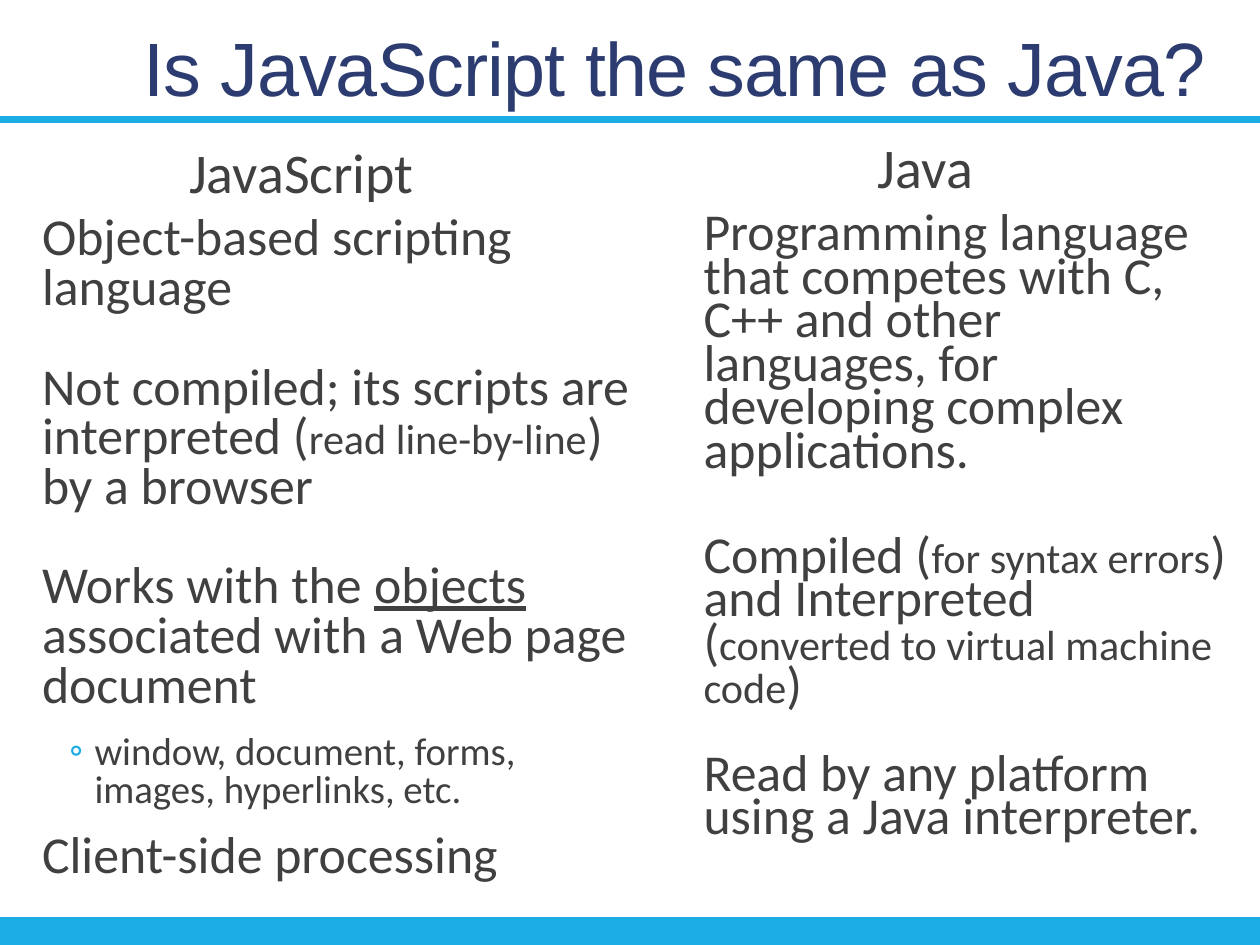
from typing import NamedTuple

from lxml.etree import SubElement
from pptx import Presentation
from pptx.dml.color import RGBColor
from pptx.enum.shapes import MSO_CONNECTOR
from pptx.enum.text import MSO_ANCHOR, MSO_AUTO_SIZE, PP_ALIGN
from pptx.oxml.ns import qn
from pptx.util import Emu, Inches, Pt

COLUMNS, ROWS = 120, 90
CELL = Inches(10) // COLUMNS
NAVY, CYAN, GREY = "2C3C70", "1CADE4", "404040"
BODY, ASIDE, DETAIL, HEADING = 29.6, 24.1, 22.2, 32


class Area(NamedTuple):
    """A place on the grid, in columns and rows."""
    left: float
    top: float
    width: float
    height: float


class Run(NamedTuple):
    text: str
    size: float = BODY
    underline: bool = False


class Point(NamedTuple):
    runs: list[Run]
    gap: float = 0
    bullet: str = ""


class Topic(NamedTuple):
    heading: str
    heading_area: Area
    body_area: Area
    line_spacing: float
    points: list[Point]


class Rule(NamedTuple):
    row: float
    weight: float


TOPICS = [
    Topic("JavaScript", Area(18, 13.2, 22, 7.2), Area(4, 20, 56, 67), 0.8, [
        Point([Run("Object-based scripting language")]),
        Point([Run("Not compiled; its scripts are interpreted ("),
               Run("read line-by-line", ASIDE), Run(") by a browser")], gap=28.4),
        Point([Run("Works with the "), Run("objects", underline=True),
               Run(" associated with a Web page document")], gap=28.4),
        Point([Run("window, document, forms, images, hyperlinks, etc.", DETAIL)],
              gap=13, bullet="◦"),
        Point([Run("Client-side processing")], gap=13),
    ]),
    Topic("Java", Area(83.6, 12.8, 14, 7.2), Area(67, 20, 50, 65), 0.7, [
        Point([Run("Programming language that competes with C, C++ and other "
                   "languages, for developing complex applications.")]),
        Point([Run("Compiled ("), Run("for syntax errors", ASIDE),
               Run(") and Interpreted ("),
               Run("converted to virtual machine code", ASIDE), Run(")")], gap=35),
        Point([Run("Read by any platform using a Java interpreter.")], gap=25),
    ]),
]
RULES = [Rule(11.4, 4), Rule(89, 20)]


def cells(count: float) -> Emu:
    return Emu(round(count * CELL))


def rgb(value: str) -> RGBColor:
    return RGBColor.from_string(value)


def place(shape, area: Area) -> None:
    shape.left, shape.top, shape.width, shape.height = map(cells, area)


def add_bullet(paragraph, mark: str) -> None:
    properties = paragraph._p.get_or_add_pPr()
    properties.set("marL", str(cells(5)))
    properties.set("indent", str(-cells(2.4)))
    color = SubElement(properties, qn("a:buClr"))
    SubElement(color, qn("a:srgbClr")).set("val", CYAN)
    SubElement(properties, qn("a:buFont")).set("typeface", "Calibri")
    SubElement(properties, qn("a:buChar")).set("char", mark)


def write(paragraph, text: str, *, size: float, color: str = GREY,
          font: str = "Calibri", underline: bool = False, tracking: float = 0) -> None:
    run = paragraph.add_run()
    run.text = text
    run.font.size = Pt(size)
    run.font.name = font
    run.font.color.rgb = rgb(color)
    if underline:
        run.font.underline = True
    if tracking:
        run._r.get_or_add_rPr().set("spc", str(round(tracking * 100)))


def draw_title(slide, text: str) -> None:
    title = slide.shapes.title
    place(title, Area(8, 0, 108, 11.3))
    frame = title.text_frame
    frame.auto_size = MSO_AUTO_SIZE.NONE
    frame.vertical_anchor = MSO_ANCHOR.BOTTOM
    paragraph = frame.paragraphs[0]
    paragraph.alignment = PP_ALIGN.RIGHT
    paragraph.line_spacing = 0.85
    write(paragraph, text, size=43.2, color=NAVY, font="Arial", tracking=-0.5)


def draw_points(slide, area: Area, points: list[Point], line_spacing: float) -> None:
    frame = slide.shapes.add_textbox(*map(cells, area)).text_frame
    frame.word_wrap = True
    frame.margin_left = frame.margin_right = 0
    for index, point in enumerate(points):
        paragraph = frame.add_paragraph() if index else frame.paragraphs[0]
        paragraph.line_spacing = line_spacing
        paragraph.space_before = Pt(point.gap)
        if point.bullet:
            paragraph.level = 1
            add_bullet(paragraph, point.bullet)
        for run in point.runs:
            write(paragraph, run.text, size=run.size, underline=run.underline)


def draw_rule(slide, rule: Rule) -> None:
    y = cells(rule.row)
    line = slide.shapes.add_connector(MSO_CONNECTOR.STRAIGHT, 0, y, cells(COLUMNS), y)
    line.line.color.rgb = rgb(CYAN)
    line.line.width = Pt(rule.weight)
    SubElement(line._element.spPr, qn("a:effectLst"))


def main() -> None:
    deck = Presentation()
    deck.slide_width, deck.slide_height = cells(COLUMNS), cells(ROWS)
    slide = deck.slides.add_slide(deck.slide_layouts[5])
    draw_title(slide, "Is JavaScript the same as Java?")
    for rule in RULES:
        draw_rule(slide, rule)
    for topic in TOPICS:
        draw_points(slide, topic.heading_area,
                    [Point([Run(topic.heading, HEADING)])], 0.9)
        draw_points(slide, topic.body_area, topic.points, topic.line_spacing)
    deck.save("out.pptx")


if __name__ == "__main__":
    main()
